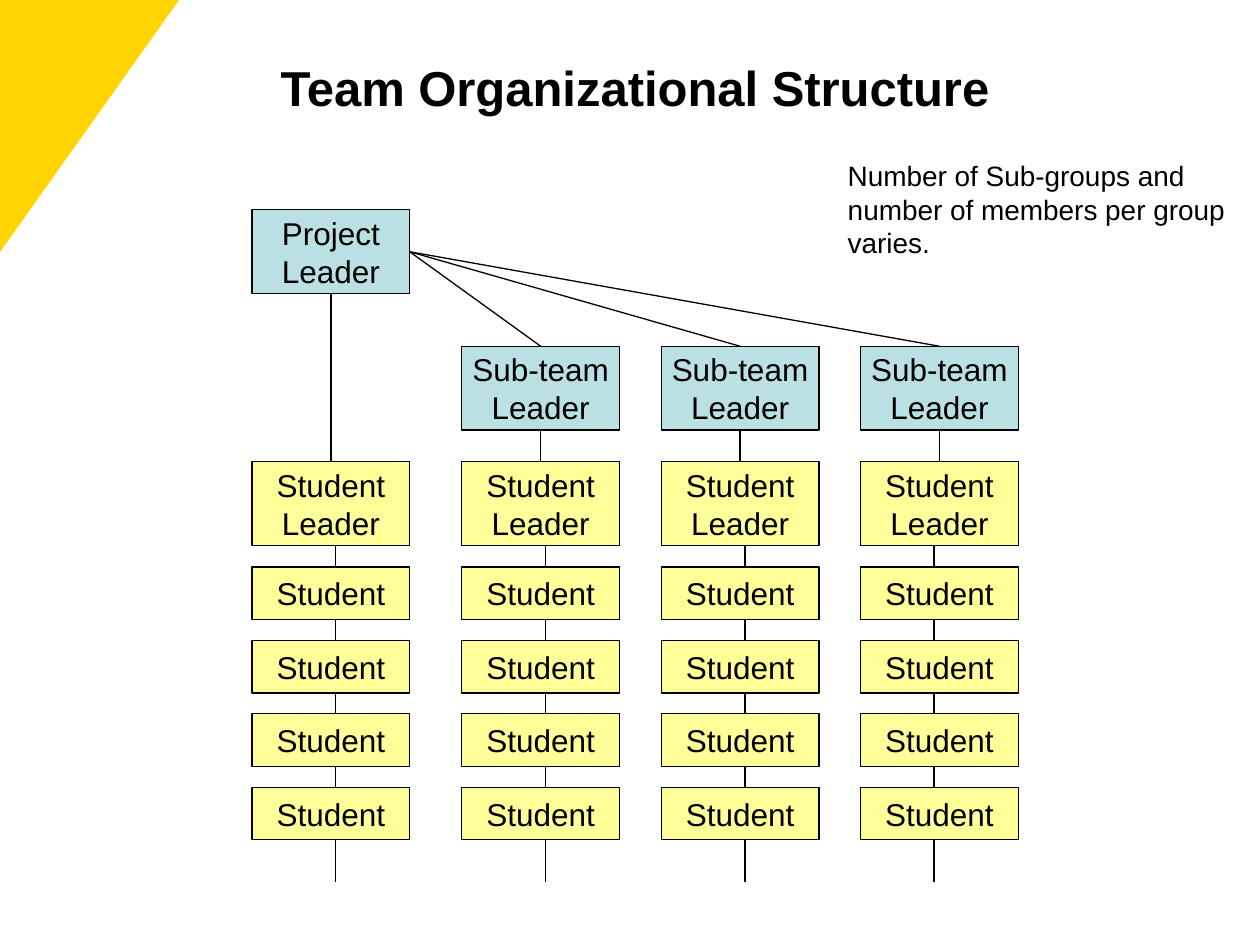
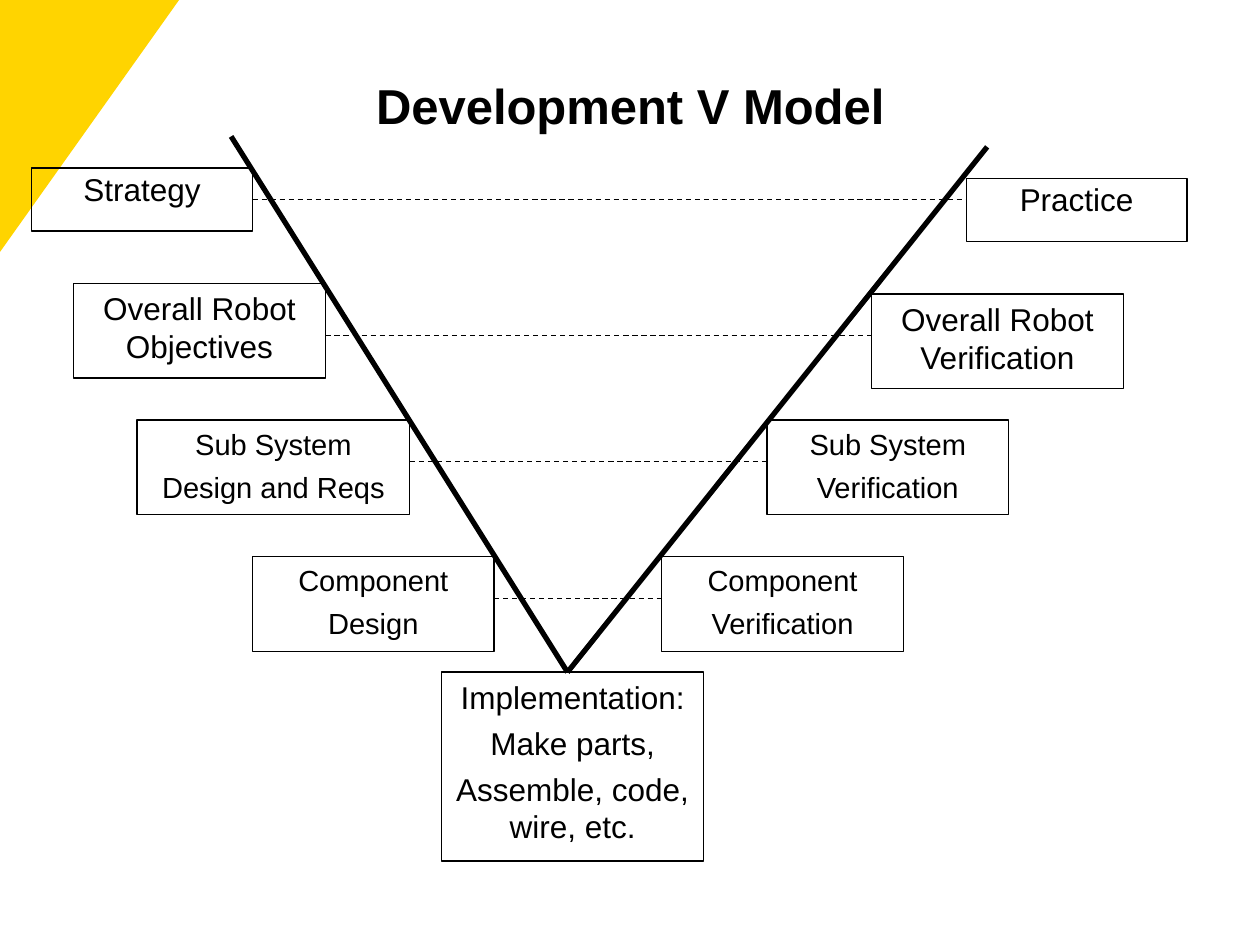
from dataclasses import dataclass

from lxml import etree
from pptx import Presentation
from pptx.dml.color import RGBColor
from pptx.enum.dml import MSO_LINE
from pptx.enum.shapes import MSO_CONNECTOR, MSO_SHAPE
from pptx.enum.text import MSO_ANCHOR, MSO_AUTO_SIZE, PP_ALIGN
from pptx.oxml.ns import qn
from pptx.util import Cm, Pt

RECT, WEDGE = MSO_SHAPE.RECTANGLE, MSO_SHAPE.ISOSCELES_TRIANGLE
STRAIGHT = MSO_CONNECTOR.STRAIGHT
DASH = MSO_LINE.DASH
LEFT, CENTER = PP_ALIGN.LEFT, PP_ALIGN.CENTER
TOP, MIDDLE = MSO_ANCHOR.TOP, MSO_ANCHOR.MIDDLE
FIXED = MSO_AUTO_SIZE.NONE
# Connection sites of a rectangle
HEAD, FOOT, SIDE = 0, 2, 3


@dataclass(frozen=True)
class Theme:
    font: str = "Arial"
    ink: RGBColor = RGBColor.from_string("000000")
    gold: RGBColor = RGBColor.from_string("FFD400")
    blue: RGBColor = RGBColor.from_string("BBE0E3")
    cream: RGBColor = RGBColor.from_string("FFFF99")
    title: float = 28
    body: float = 18
    small: float = 16.6
    note: float = 16
    thin: float = 0.75
    thick: float = 3


THEME = Theme()


def write(frame, text, size=THEME.body, bold=False, align=CENTER,
          anchor=MIDDLE, wrap=False, gap=0, pitch=None):
    """Fill a text frame, one paragraph for each line of text."""
    frame.auto_size = FIXED
    frame.word_wrap = wrap
    frame.vertical_anchor = anchor
    for i, line in enumerate(text.split("\n")):
        para = frame.add_paragraph() if i else frame.paragraphs[0]
        para.alignment = align
        if i and gap:
            para.space_before = Pt(gap)
        if pitch:
            para.line_spacing = pitch
        run = para.add_run()
        run.text = line
        font = run.font
        font.name, font.size, font.bold = THEME.font, Pt(size), bold
        font.color.rgb = THEME.ink


def add_box(slide, x, y, w, h, text, fill=None, **style):
    box = slide.shapes.add_shape(RECT, Cm(x), Cm(y), Cm(w), Cm(h))
    box.shadow.inherit = False
    if fill is None:
        box.fill.background()
    else:
        box.fill.solid()
        box.fill.fore_color.rgb = fill
    box.line.color.rgb = THEME.ink
    box.line.width = Pt(THEME.thin)
    write(box.text_frame, text, **style)
    return box


def add_line(slide, x1, y1, x2, y2, width=THEME.thin, dash=None):
    line = slide.shapes.add_connector(
        STRAIGHT, Cm(x1), Cm(y1), Cm(x2), Cm(y2))
    line.line.color.rgb = THEME.ink
    line.line.width = Pt(width)
    if dash:
        line.line.dash_style = dash
    etree.SubElement(line._element.spPr, qn("a:effectLst"))
    return line


def join(slide, start, site, end):
    """Tie a site of one box to the top of another."""
    line = add_line(slide, 0, 0, 1, 1)
    line.begin_connect(start, site)
    line.end_connect(end, HEAD)


def add_wedge(slide, w, h):
    """Gold corner at the top left: a triangle turned by a quarter."""
    wedge = slide.shapes.add_shape(
        WEDGE, Cm((w - h) / 2), Cm((h - w) / 2), Cm(h), Cm(w))
    wedge.adjustments[0] = 0
    wedge.rotation = 90
    wedge.shadow.inherit = False
    wedge.fill.solid()
    wedge.fill.fore_color.rgb = THEME.gold
    wedge.line.fill.background()


def add_slide(deck, title, x, y, w, h):
    slide = deck.slides.add_slide(deck.slide_layouts[5])
    head = slide.shapes.title
    head.left, head.top, head.width, head.height = map(Cm, (x, y, w, h))
    write(head.text_frame, title, size=THEME.title, bold=True, wrap=True)
    add_wedge(slide, 3.61, 5.08)
    return slide


def add_group(slide, x, y, drop):
    """Student leader with four students on a line; return the leader."""
    w, tall, low, step, first = 3.18, 1.69, 1.06, 1.48, 2.12
    add_line(slide, x + drop, y + tall, x + drop, y + 8.47)
    for i in range(4):
        add_box(slide, x, y + first + i * step, w, low, "Student",
                fill=THEME.cream)
    return add_box(slide, x, y, w, tall, "Student\nLeader",
                   fill=THEME.cream)


def add_team(slide, x, y):
    w, h, row = 3.18, 1.69, 5.08
    chief = add_box(slide, x, y, w, h, "Project\nLeader", fill=THEME.blue)
    join(slide, chief, FOOT, add_group(slide, x, y + row, 1.69))
    for i, drop in enumerate((1.69, 1.69, 1.48)):
        left = x + 4.23 + i * 4.02
        sub = add_box(slide, left, y + 2.75, w, h, "Sub-team\nLeader",
                      fill=THEME.blue)
        join(slide, chief, SIDE, sub)
        join(slide, sub, FOOT, add_group(slide, left, y + row, drop))


def add_note(slide, x, y, w, h, text):
    note = slide.shapes.add_textbox(Cm(x), Cm(y), Cm(w), Cm(h))
    write(note.text_frame, text, size=THEME.note, align=LEFT, anchor=TOP)


def add_vee(slide, x, y):
    """Design steps on the left arm, their checks on the right arm."""
    tip = x + 10.8, y + 10.8
    for dx, dy in ((4.02, 0), (19.26, 0.21)):
        add_line(slide, x + dx, y + dy, *tip, width=THEME.thick)

    def step(dx, dy, w, h, text, **style):
        add_box(slide, x + dx, y + dy, w, h, text, anchor=TOP, wrap=True,
                gap=4.5, **style)

    brief = {"pitch": 0.9}
    small = {"size": THEME.small}
    # Height, format, dashed line, then (left, top, width, text) of each side
    rows = (
        (1.27, brief, 1.27, (0, 0.64, 4.45, "Strategy"),
         (18.84, 0.85, 4.45, "Practice")),
        (1.91, {}, 4.02, (0.84, 2.96, 5.08, "Overall Robot Objectives"),
         (16.93, 3.18, 5.08, "Overall Robot Verification")),
        (1.91, small, 6.56, (2.12, 5.72, 5.5, "Sub System\nDesign and Reqs"),
         (14.82, 5.72, 4.87, "Sub System\nVerification")),
        (1.91, small, 9.31, (4.45, 8.47, 4.87, "Component\nDesign"),
         (12.7, 8.47, 4.87, "Component\nVerification")),
    )
    for h, style, level, plan, check in rows:
        for dx, dy, w, text in (plan, check):
            step(dx, dy, w, h, text, **style)
        add_line(slide, x + plan[0] + plan[2], y + level,
                 x + check[0], y + level, dash=DASH)
    step(8.26, 10.8, 5.29, 3.81,
         "Implementation:\nMake parts,\nAssemble, code, wire, etc.")


def main():
    deck = Presentation()
    deck.slide_width, deck.slide_height = Cm(25.4), Cm(19.05)

    team = add_slide(deck, "Team Organizational Structure",
                     1.47, 0.76, 22.66, 1.98)
    add_team(team, 5.08, 4.23)
    add_note(team, 16.84, 3.07, 8.26, 2.29,
             "Number of Sub-groups and\nnumber of members per group\nvaries.")

    model = add_slide(deck, "Development V Model", 1.91, 1.27, 21.59, 1.69)
    add_vee(model, 0.64, 2.75)

    deck.save("out.pptx")


if __name__ == "__main__":
    main()
